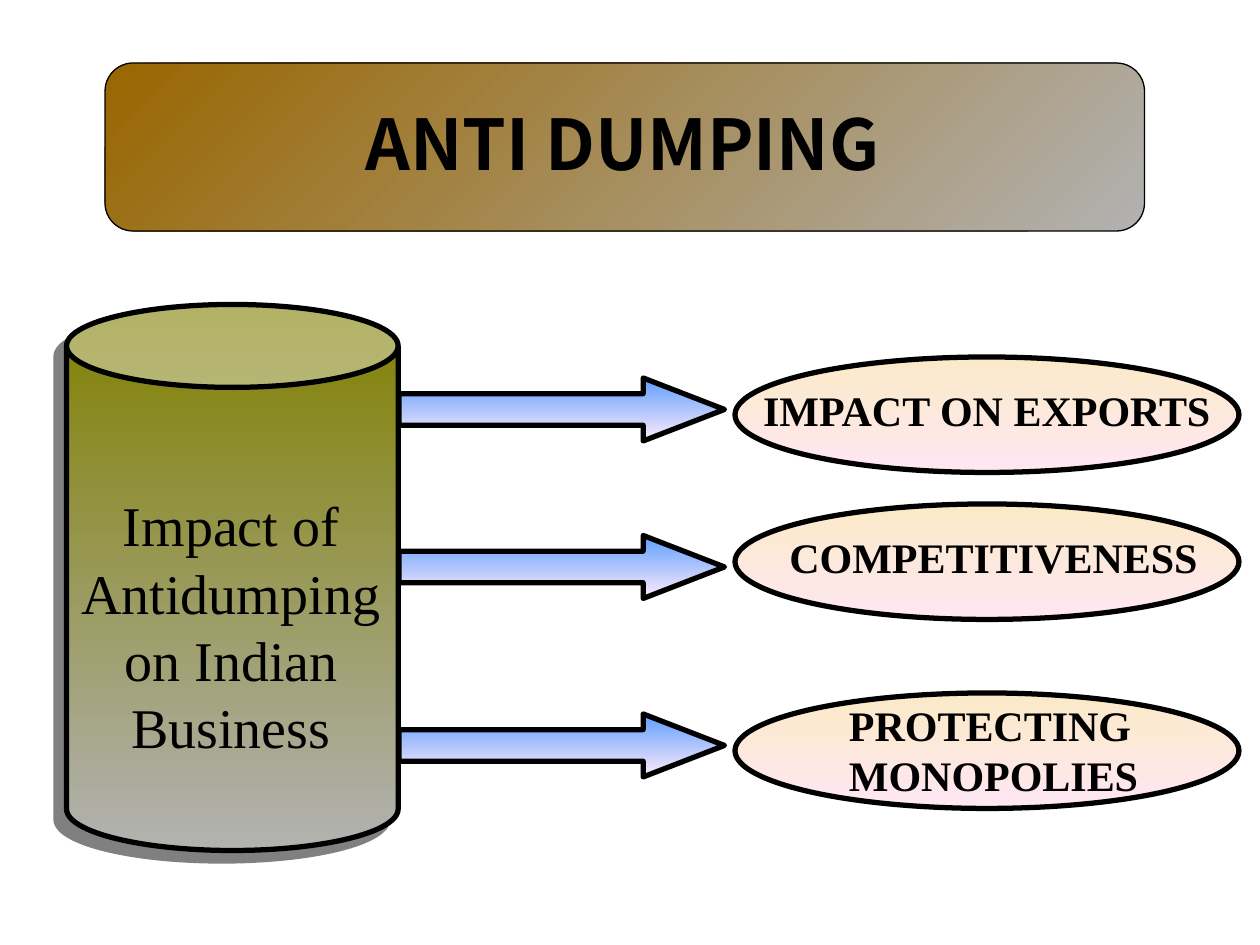
"""Builds the anti dumping slide: a cylinder with arrows to three impacts."""
from dataclasses import dataclass

from lxml import etree
from pptx import Presentation
from pptx.dml.color import RGBColor as RGB
from pptx.enum.shapes import MSO_SHAPE as SHAPE
from pptx.enum.text import MSO_ANCHOR as ANCHOR, MSO_AUTO_SIZE as AUTO, PP_ALIGN as ALIGN
from pptx.oxml.ns import qn
from pptx.util import Pt


@dataclass(frozen=True)
class Theme:
    ink: str = "000000"
    shadow: str = "808080"
    banner: tuple = ("996600", "B2B2B2")
    can: tuple = ("808000", "B2B2B2")
    arrow: tuple = ("5E9EFF", "FFEBFA")
    oval: tuple = ("FBEAC7", "FEE7F2")
    title_font: str = "Noto Sans CJK KR"
    body_font: str = "Times New Roman"
    title_size: int = 40
    cause_size: int = 32
    impact_size: int = 24


theme = Theme()


def add_text(box, text, size, font=theme.body_font, bold=False, align=ALIGN.LEFT, wrap=False):
    tf = box.text_frame
    tf.text = text
    tf.word_wrap = wrap
    tf.auto_size = AUTO.SHAPE_TO_FIT_TEXT
    tf.vertical_anchor = ANCHOR.TOP
    for p in tf.paragraphs:
        p.alignment = align
        for r in p.runs:
            r.font.name = font
            r.font.size = Pt(size)
            r.font.bold = bold
            r.font.color.rgb = RGB.from_string(theme.ink)


def add_shape(kind, left, top, width, height, colors, angle=270, line=3, adjust=()):
    sp = s.shapes.add_shape(kind, Pt(left), Pt(top), Pt(width), Pt(height))
    sp.shadow.inherit = False
    for i, value in enumerate(adjust):
        sp.adjustments[i] = value
    sp.fill.gradient()
    sp.fill.gradient_angle = angle
    for stop, color in zip(sp.fill.gradient_stops, colors):
        stop.color.rgb = RGB.from_string(color)
    sp.line.color.rgb = RGB.from_string(theme.ink)
    sp.line.width = Pt(line)
    return sp


prs = Presentation()
prs.slide_width, prs.slide_height = Pt(720), Pt(540)
s = prs.slides.add_slide(prs.slide_layouts[5])

banner = add_shape(SHAPE.ROUNDED_RECTANGLE, 60, 36, 594, 96, theme.banner,
                   angle=315, line=0.75, adjust=(0.167,))
title = s.shapes.title
title.left, title.top, title.width, title.height = Pt(201.6), Pt(54), Pt(330.5), Pt(55.5)
add_text(title, "ANTI DUMPING", theme.title_size, font=theme.title_font, bold=True)
banner.element.addnext(title.element)

can = add_shape(SHAPE.CAN, 38, 174, 189.5, 312, theme.can, adjust=(0.25,))
effects = can.element.spPr.find(qn("a:effectLst"))
shadow = etree.SubElement(effects, qn("a:outerShdw"), dist=str(Pt(8.5)),
                          dir="8100000", algn="ctr", rotWithShape="0")
etree.SubElement(shadow, qn("a:srgbClr"), val=theme.shadow)
cause = s.shapes.add_textbox(Pt(30), Pt(277), Pt(204), Pt(161.5))
add_text(cause, "Impact of Antidumping on Indian Business", theme.cause_size,
         align=ALIGN.CENTER, wrap=True)

impacts = [
    ("IMPACT ON EXPORTS", 216, 204, (429, 216, 273, 36)),
    ("COMPETITIVENESS", 306, 288, (444, 300, 248, 36)),
    ("PROTECTING\nMONOPOLIES", 408, 396, (478, 396, 181.5, 65)),
]
for text, arrow_top, oval_top, label_at in impacts:
    add_shape(SHAPE.RIGHT_ARROW, 228, arrow_top, 186, 36, theme.arrow, adjust=(0.5, 1.29))
    add_shape(SHAPE.OVAL, 420, oval_top, 288, 66, theme.oval)
    label = s.shapes.add_textbox(*map(Pt, label_at))
    add_text(label, text, theme.impact_size, bold=True)

prs.save("out.pptx")
